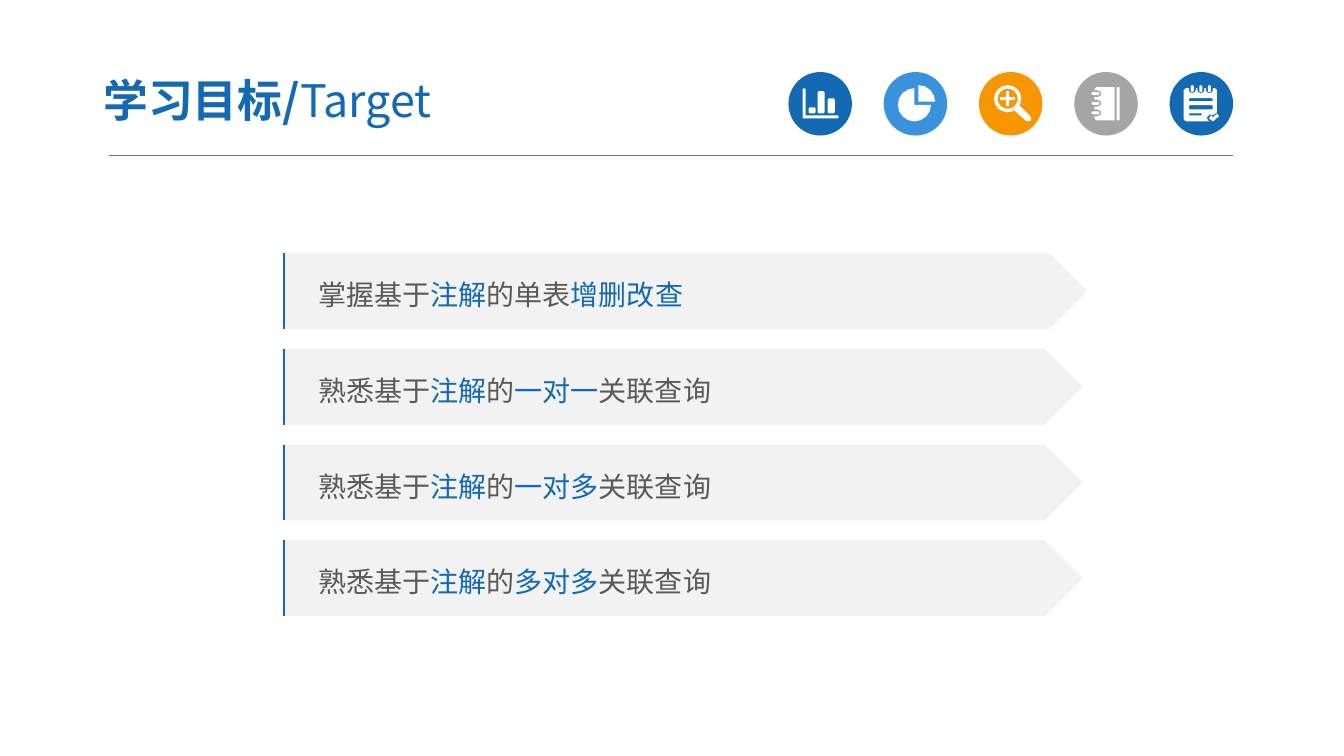
from math import cos, pi, sin

from pptx import Presentation
from pptx.dml.color import RGBColor
from pptx.enum.shapes import MSO_CONNECTOR, MSO_SHAPE as Preset
from pptx.enum.text import MSO_ANCHOR, PP_ALIGN
from pptx.oxml.ns import qn
from pptx.util import Inches, Pt
from lxml.etree import SubElement

THEME = {
    "font": "Noto Sans CJK SC", "title_size": 32, "goal_size": 20,
    "blue": "1369B2", "sky": "3992DB", "orange": "F79600", "grey": "A5A5A5",
    "white": "FFFFFF", "band": "F2F2F2", "text": "595959", "rule": "767171",
}

# The slide is a grid of 1333 by 750 square cells
COLS, ROWS = 1333, 750
CELL = Inches(0.01)
deck = Presentation()
deck.slide_width, deck.slide_height = COLS * CELL, ROWS * CELL
slide = deck.slides.add_slide(deck.slide_layouts[6])
shapes = slide.shapes


def paint(part, colour):
    part.shadow.inherit = False
    part.fill.solid()
    part.fill.fore_color.rgb = RGBColor.from_string(THEME[colour])
    part.line.fill.background()


def rounded(col, row, wide, high, radius, steps=2):
    """Outline of a rounded box, clockwise from the right end of its lower right corner."""
    right, low = col + wide - radius, row + high - radius
    centres = [(right, low), (col + radius, low),
               (col + radius, row + radius), (right, row + radius)]
    return [(x + radius * cos(angle), y + radius * sin(angle))
            for quarter, (x, y) in enumerate(centres)
            for angle in [(quarter + step / steps) * pi / 2 for step in range(steps + 1)]]


# Heading and the line below it
heading = shapes.add_textbox(round(89.5 * CELL), 63 * CELL, 522 * CELL, 72 * CELL).text_frame
heading.word_wrap = True
heading.vertical_anchor = MSO_ANCHOR.MIDDLE
heading.margin_left = heading.margin_right = 13 * CELL
heading.margin_top = heading.margin_bottom = 7 * CELL
divider = shapes.add_connector(
    MSO_CONNECTOR.STRAIGHT, 108 * CELL, round(154.5 * CELL), 1223 * CELL, round(154.5 * CELL))
divider.line.color.rgb = RGBColor.from_string(THEME["rule"])
divider.line.width = Pt(0.5)
SubElement(divider._element.spPr, qn("a:effectLst"))

# Icon outlines, in cells from the corner of the disc
chart_icon = [
    [(14, 17), (15.5, 16), (17, 17), (17, 43), (49, 43), (50, 44.5), (49, 46), (14, 46)],
    rounded(20, 35, 7, 6, 1.5), rounded(29, 19, 7, 22, 1.5), rounded(39, 26, 7, 15, 1.5),
]
pie_icon = [
    rounded(14, 16, 33, 33, 16.5, 4)[:15] + [(30.5, 32.5)],
    rounded(18, 13, 33, 33, 16.5, 4)[15:] + [(34.5, 29.5)],
]
search_icon = [
    rounded(15, 13, 27, 27, 13.5, 4), rounded(18.5, 16.5, 20, 20, 10, 4),
    [(27, 19), (30, 19), (30, 25), (36, 25), (36, 28), (30, 28),
     (30, 34), (27, 34), (27, 28), (21, 28), (21, 25), (27, 25)],
    [(35.5, 38.5), (40.5, 33.5), (50.5, 43.5), (52, 46), (51, 48.5), (48, 49), (46, 48)],
]
notebook_body = [(22, 15), (40, 15), (40, 48), (22, 48), (20, 46)]
notepad_body = [(14, 18), (16, 16)]
notebook_icon = [notebook_body, rounded(42, 15, 3, 33, 1)]
notepad_icon = [
    notepad_body, rounded(19, 26, 24, 3, 1.5), rounded(19, 33, 24, 4, 1.5),
    rounded(19, 41, 13, 2, 1),
    [(39, 46), (41, 43), (43, 45), (47, 41), (49, 44), (43, 49)],
]
for ring in range(3):
    low, left = 44 - 9.5 * ring, 19 + 8.5 * ring
    notebook_body += [(20, low), (23, low), (26, low - 1.5), (27, low - 3.5),
                      (26, low - 5.5), (23, low - 7), (20, low - 7)]
    notepad_body += [(left, 16), (left, 18), (left + 1, 20), (left + 3.5, 21),
                     (left + 6, 20), (left + 7, 18), (left + 7, 16)]
    notebook_icon.append(rounded(17, 20 + 9.5 * ring, 8, 3, 1.5))
    notepad_icon.append(rounded(left + 2, 13, 3, 7, 1.5))
notebook_body.append((20, 17))
notepad_body += [(45, 16), (47, 18), (47, 40), (43, 43), (40, 42), (37, 45),
                 (38, 48), (40, 49), (16, 49), (14, 47)]

# Row of discs with their icons
ICON_LEFT, ICON_TOP, ICON_PITCH, DISC = 782, 71.5, 94.5, 63
icons = [("blue", chart_icon), ("sky", pie_icon), ("orange", search_icon),
         ("grey", notebook_icon), ("blue", notepad_icon)]
for order, (disc_colour, contours) in enumerate(icons):
    left = ICON_LEFT + order * ICON_PITCH
    disc = shapes.add_shape(Preset.OVAL, round(left * CELL), round(ICON_TOP * CELL),
                            DISC * CELL, DISC * CELL)
    paint(disc, disc_colour)
    symbol = None
    for contour in contours:
        points = [((left + col) * CELL, (ICON_TOP + row) * CELL) for col, row in contour]
        if symbol is None:
            symbol = shapes.build_freeform(*points[0])
        else:
            symbol.move_to(*points[0])
        symbol.add_line_segments(points[1:], close=True)
    paint(symbol.convert_to_shape(), "white")

# Goals: plain and highlighted wording take turns
GOAL_LEFT, GOAL_TOP, GOAL_PITCH, GOAL_HIGH = 280.7, 251.2, 94.9, 75.3
goals = [("掌握基于", "注解", "的单表", "增删改查")] + [
    ("熟悉基于", "注解", "的", relation, "关联查询")
    for relation in ("一对一", "一对多", "多对多")]
texts = [(heading.paragraphs[0], ("学习目标/", "Target"), "title_size", ("blue", "blue"))]
for order, wording in enumerate(goals):
    top = GOAL_TOP + order * GOAL_PITCH
    wide = 793 if order else 798
    arrow = shapes.add_shape(Preset.PENTAGON, *(
        round(n * CELL) for n in (GOAL_LEFT, top, wide, GOAL_HIGH)))
    paint(arrow, "band")
    edge = shapes.build_freeform(282 * CELL, (top + GOAL_HIGH) * CELL)
    edge.add_line_segments([(282 * CELL, top * CELL)], close=False)
    accent = edge.convert_to_shape()
    accent.shadow.inherit = False
    accent.fill.background()
    accent.line.color.rgb = RGBColor.from_string(THEME["blue"])
    accent.line.width = Pt(1.5)
    arrow.text_frame.margin_left = 35 * CELL
    arrow.text_frame.vertical_anchor = MSO_ANCHOR.MIDDLE
    goal = arrow.text_frame.paragraphs[0]
    goal.line_spacing = 1.2
    texts.append((goal, wording, "goal_size", ("text", "blue")))

# Wording and type
for paragraph, wording, size, colours in texts:
    paragraph.alignment = PP_ALIGN.LEFT
    for number, words in enumerate(wording):
        run = paragraph.add_run()
        run.text = words
        run.font.name = THEME["font"]
        run.font.size = Pt(THEME[size])
        run.font.bold = size == "title_size" and number == 0
        run.font.color.rgb = RGBColor.from_string(THEME[colours[number % 2]])
        SubElement(run._r.get_or_add_rPr(), qn("a:ea")).set("typeface", THEME["font"])

deck.save("out.pptx")
